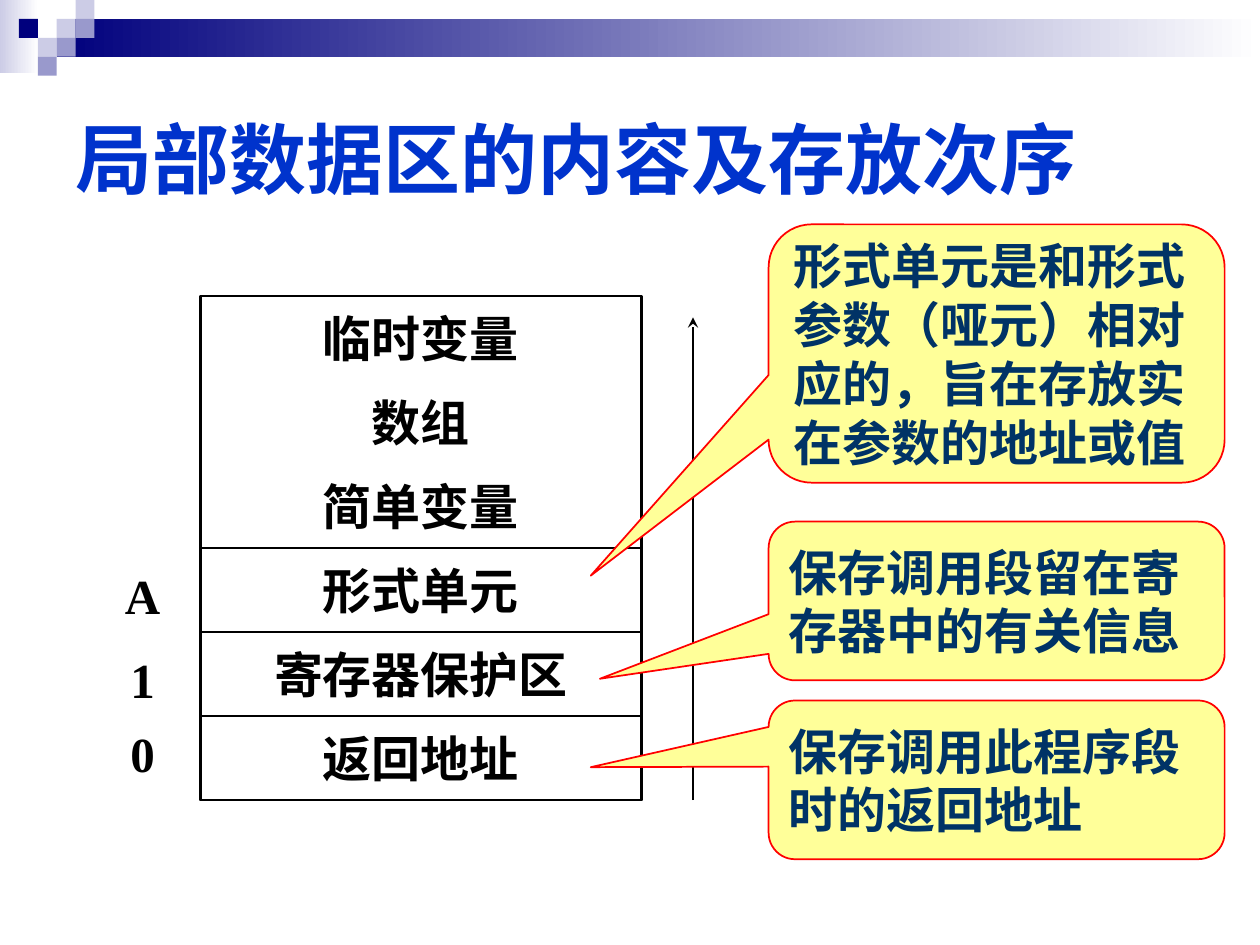
from dataclasses import dataclass

from lxml.etree import SubElement
from pptx import Presentation
from pptx.dml.color import RGBColor
from pptx.enum.shapes import MSO_CONNECTOR, MSO_SHAPE
from pptx.enum.text import MSO_ANCHOR, PP_ALIGN
from pptx.oxml.ns import qn
from pptx.shapes.autoshape import Shape
from pptx.slide import Slide
from pptx.util import Pt

WHITE = RGBColor(0xFF, 0xFF, 0xFF)
BLACK = RGBColor(0x00, 0x00, 0x00)
NAVY = RGBColor(0x00, 0x00, 0x7D)
LAVENDER = RGBColor(0xCC, 0xCC, 0xE6)
PERIWINKLE = RGBColor(0x99, 0x99, 0xCC)
TITLE_BLUE = RGBColor(0x00, 0x33, 0xCC)
NOTE_BLUE = RGBColor(0x00, 0x33, 0x66)
YELLOW = RGBColor(0xFF, 0xFF, 0x99)
RED = RGBColor(0xFF, 0x00, 0x00)

SANS, SERIF = "Arial", "Times New Roman"
TILE = 10.8
AREA_LEFT, AREA_TOP, AREA_WIDTH, ROW_HEIGHT = 114.5, 169.2, 252, 48
LABEL_LEFT, LABEL_WIDTH, LABEL_HEIGHT = 48.5, 66, 42
NOTE_LEFT, NOTE_WIDTH = 439.2, 260.6
ARROW_X, ARROW_TOP = 396, 181.4


@dataclass(frozen=True)
class Box:
    left: float
    top: float
    width: float
    height: float

    def lengths(self) -> tuple[Pt, Pt, Pt, Pt]:
        return Pt(self.left), Pt(self.top), Pt(self.width), Pt(self.height)


@dataclass(frozen=True)
class Tile:
    column: int
    row: int
    color: RGBColor


@dataclass(frozen=True)
class Row:
    text: str
    bordered: bool


@dataclass(frozen=True)
class Label:
    text: str
    top: float


@dataclass(frozen=True)
class Note:
    text: str
    top: float
    height: float
    tip_x: float
    tip_y: float


TILES = [
    Tile(3, 1, LAVENDER), Tile(4, 0, LAVENDER), Tile(4, 1, PERIWINKLE),
    Tile(2, 2, LAVENDER), Tile(1, 1, NAVY), Tile(3, 2, PERIWINKLE),
    Tile(2, 3, PERIWINKLE),
]
ROWS = [
    Row("临时变量", False), Row("数组", False), Row("简单变量", False),
    Row("形式单元", True), Row("寄存器保护区", True), Row("返回地址", True),
]
LABELS = [Label("A", 319), Label("1", 367), Label("0", 409)]
NOTES = [
    Note("保存调用此程序段时的返回地址", 400.3, 90.7, -0.89, -0.08),
    Note("保存调用段留在寄存器中的有关信息", 298.1, 90.7, -0.87, 0.49),
    Note("形式单元是和形式参数（哑元）相对应的，旨在存放实在参数的地址或值",
         128.2, 147.6, -0.89, 0.86),
]


def write(shape: Shape, text: str, font_name: str, color: RGBColor,
          size: float = 28, align: PP_ALIGN = PP_ALIGN.LEFT,
          wrap: bool = True) -> None:
    """Put one bold, vertically centred run into the shape."""
    frame = shape.text_frame
    frame.word_wrap = wrap
    frame.vertical_anchor = MSO_ANCHOR.MIDDLE
    paragraph = frame.paragraphs[0]
    paragraph.alignment = align
    run = paragraph.add_run()
    run.text = text
    run.font.name = font_name
    run.font.size = Pt(size)
    run.font.bold = True
    run.font.color.rgb = color


def add_plain_shape(slide: Slide, kind: MSO_SHAPE, box: Box) -> Shape:
    """Add a shape without shadow, fill or line."""
    shape = slide.shapes.add_shape(kind, *box.lengths())
    shape.shadow.inherit = False
    shape.fill.background()
    shape.line.fill.background()
    return shape


def add_fading_band(slide: Slide, box: Box, color: RGBColor) -> None:
    fill = add_plain_shape(slide, MSO_SHAPE.RECTANGLE, box).fill
    fill.gradient()
    fill.gradient_angle = 0
    for stop, stop_color in zip(fill.gradient_stops, (color, WHITE)):
        stop.color.rgb = stop_color


def add_tile(slide: Slide, tile: Tile) -> None:
    box = Box(tile.column * TILE, tile.row * TILE, TILE, TILE)
    fill = add_plain_shape(slide, MSO_SHAPE.RECTANGLE, box).fill
    fill.solid()
    fill.fore_color.rgb = tile.color


def add_frame(slide: Slide, box: Box) -> Shape:
    frame = add_plain_shape(slide, MSO_SHAPE.RECTANGLE, box)
    frame.line.color.rgb = BLACK
    frame.line.width = Pt(1.5)
    return frame


def add_entry(slide: Slide, text: str, box: Box, bordered: bool = False) -> None:
    if bordered:
        entry = add_frame(slide, box)
    else:
        entry = slide.shapes.add_textbox(*box.lengths())
    write(entry, text, SERIF, BLACK, align=PP_ALIGN.CENTER, wrap=False)


def add_growth_arrow(slide: Slide, bottom: float) -> None:
    arrow = slide.shapes.add_connector(
        MSO_CONNECTOR.STRAIGHT, Pt(ARROW_X), Pt(bottom), Pt(ARROW_X), Pt(ARROW_TOP))
    arrow.line.color.rgb = BLACK
    arrow.line.width = Pt(1.5)
    SubElement(arrow.line._get_or_add_ln(), qn("a:tailEnd"), type="stealth")
    SubElement(arrow._element.spPr, qn("a:effectLst"))


def add_note(slide: Slide, note: Note) -> None:
    box = Box(NOTE_LEFT, note.top, NOTE_WIDTH, note.height)
    callout = add_plain_shape(slide, MSO_SHAPE.ROUNDED_RECTANGULAR_CALLOUT, box)
    callout.adjustments[0] = note.tip_x
    callout.adjustments[1] = note.tip_y
    callout.fill.solid()
    callout.fill.fore_color.rgb = YELLOW
    callout.line.color.rgb = RED
    callout.line.width = Pt(1)
    write(callout, note.text, SANS, NOTE_BLUE)


def main() -> None:
    presentation = Presentation()
    presentation.slide_width, presentation.slide_height = Pt(720), Pt(540)
    slide = presentation.slides.add_slide(presentation.slide_layouts[6])

    add_fading_band(slide, Box(0, 0, 22, 42), LAVENDER)
    add_fading_band(slide, Box(3 * TILE, TILE, 720 - 3 * TILE, 2 * TILE), NAVY)
    for tile in TILES:
        add_tile(slide, tile)

    title = slide.shapes.add_textbox(*Box(36, 36, 648, 108).lengths())
    write(title, "局部数据区的内容及存放次序", SANS, TITLE_BLUE, size=44)

    area_height = len(ROWS) * ROW_HEIGHT
    add_frame(slide, Box(AREA_LEFT, AREA_TOP, AREA_WIDTH, area_height))
    for index, row in enumerate(ROWS):
        top = AREA_TOP + index * ROW_HEIGHT
        add_entry(slide, row.text, Box(AREA_LEFT, top, AREA_WIDTH, ROW_HEIGHT), row.bordered)
    for label in LABELS:
        add_entry(slide, label.text, Box(LABEL_LEFT, label.top, LABEL_WIDTH, LABEL_HEIGHT))

    add_growth_arrow(slide, AREA_TOP + area_height)
    for note in NOTES:
        add_note(slide, note)

    presentation.save("out.pptx")


if __name__ == "__main__":
    main()
